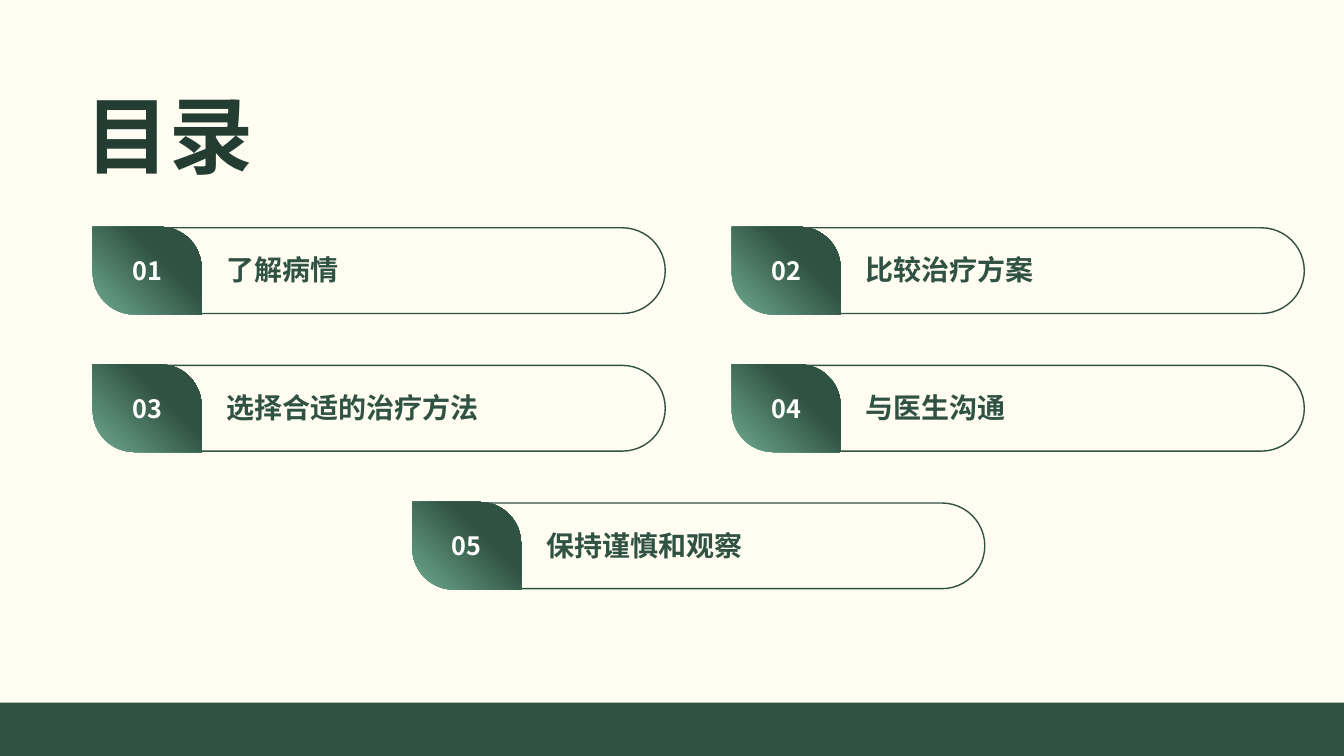
from dataclasses import dataclass

from lxml import etree
from pptx import Presentation
from pptx.dml.color import RGBColor
from pptx.enum.shapes import MSO_SHAPE
from pptx.enum.text import MSO_ANCHOR, PP_ALIGN
from pptx.oxml.ns import qn
from pptx.util import Inches, Pt

RECT = MSO_SHAPE.RECTANGLE
PILL = MSO_SHAPE.ROUNDED_RECTANGLE
LEAF = MSO_SHAPE.ROUND_2_DIAG_RECTANGLE
TOP, MIDDLE, BOTTOM = MSO_ANCHOR.TOP, MSO_ANCHOR.MIDDLE, MSO_ANCHOR.BOTTOM
LEFT, CENTER = PP_ALIGN.LEFT, PP_ALIGN.CENTER


@dataclass(frozen=True)
class Theme:
    font: str = "Noto Sans CJK SC"
    cream: RGBColor = RGBColor(0xFF, 0xFC, 0xF2)
    green: RGBColor = RGBColor(0x30, 0x52, 0x42)
    mint: RGBColor = RGBColor(0x6F, 0xAB, 0x8F)
    dark: RGBColor = RGBColor(0x24, 0x3D, 0x32)
    white: RGBColor = RGBColor(0xFF, 0xFF, 0xFF)
    title: int = 60
    label: int = 20
    number: int = 18


THEME = Theme()
TOPICS = ["了解病情", "比较治疗方案", "选择合适的治疗方法", "与医生沟通", "保持谨慎和观察"]

# Grid of topics: two columns, the last topic centred below
COL_X, COL_STEP = 0.92, 6.34
ROW_Y, ROW_STEP = 2.25, 1.365


def place(box):
    return [Inches(size) for size in box]


def write(shape, text, size, color, align=LEFT, anchor=TOP):
    """Put one bold line of text in a shape."""
    frame = shape.text_frame
    frame.word_wrap = True
    frame.vertical_anchor = anchor
    para = frame.paragraphs[0]
    para.alignment = align
    run = para.add_run()
    run.text = text
    style = {"name": THEME.font, "size": Pt(size), "bold": True}
    for key, value in style.items():
        setattr(run.font, key, value)
    run.font.color.rgb = color
    # East Asian text needs its own typeface entry
    east = etree.SubElement(run.font._element, qn("a:ea"))
    east.set("typeface", THEME.font)
    return frame


def add_text(slide, box, text, size, color, anchor=TOP):
    shape = slide.shapes.add_textbox(*place(box))
    return write(shape, text, size, color, anchor=anchor)


def add_form(slide, kind, box, fill=None, line=None):
    """Add a flat shape with an optional solid fill and outline."""
    shape = slide.shapes.add_shape(kind, *place(box))
    shape.shadow.inherit = False
    if fill is not None:
        shape.fill.solid()
        shape.fill.fore_color.rgb = fill
    if line is None:
        shape.line.fill.background()
    else:
        shape.line.color.rgb = line
        shape.line.width = Pt(1)
    return shape


def add_badge(slide, x, y, number):
    """Add a leaf with a diagonal gradient and a number."""
    leaf = add_form(slide, LEAF, (x, y, 1.08, 0.87))
    leaf.adjustments[0] = 0
    leaf.adjustments[1] = 0.472
    leaf.fill.gradient()
    leaf.fill.gradient_angle = 45
    stops = [(0, THEME.mint), (0.64, THEME.green)]
    for stop, (pos, color) in zip(leaf.fill.gradient_stops, stops):
        stop.position = pos
        stop.color.rgb = color
    write(leaf, f"{number:02}", THEME.number, THEME.white, CENTER, MIDDLE)


def add_topic(slide, x, y, number, text):
    pill = add_form(slide, PILL, (x + 0.25, y + 0.01, 5.43, 0.85),
                    THEME.cream, THEME.green)
    pill.adjustments[0] = 0.5
    add_badge(slide, x, y, number)
    add_text(slide, (x + 1.23, y + 0.21, 4.45, 0.44), text,
             THEME.label, THEME.green)


def main():
    deck = Presentation()
    deck.slide_width, deck.slide_height = Inches(13.333), Inches(7.5)
    slide = deck.slides.add_slide(deck.slide_layouts[6])

    # Background and bottom band
    slide.background.fill.solid()
    slide.background.fill.fore_color.rgb = THEME.cream
    add_form(slide, RECT, (0, 6.97, 13.333, 0.53), THEME.green)

    # Title
    title = add_text(slide, (0.75, 0.3, 5.97, 1.53), "目录",
                     THEME.title, THEME.dark, BOTTOM)
    title.margin_bottom = 0

    # Topics
    for index, text in enumerate(TOPICS):
        row, col = divmod(index, 2)
        if index == len(TOPICS) - 1:
            col = 0.5
        add_topic(slide, COL_X + col * COL_STEP, ROW_Y + row * ROW_STEP,
                  index + 1, text)

    deck.save("out.pptx")


if __name__ == "__main__":
    main()
